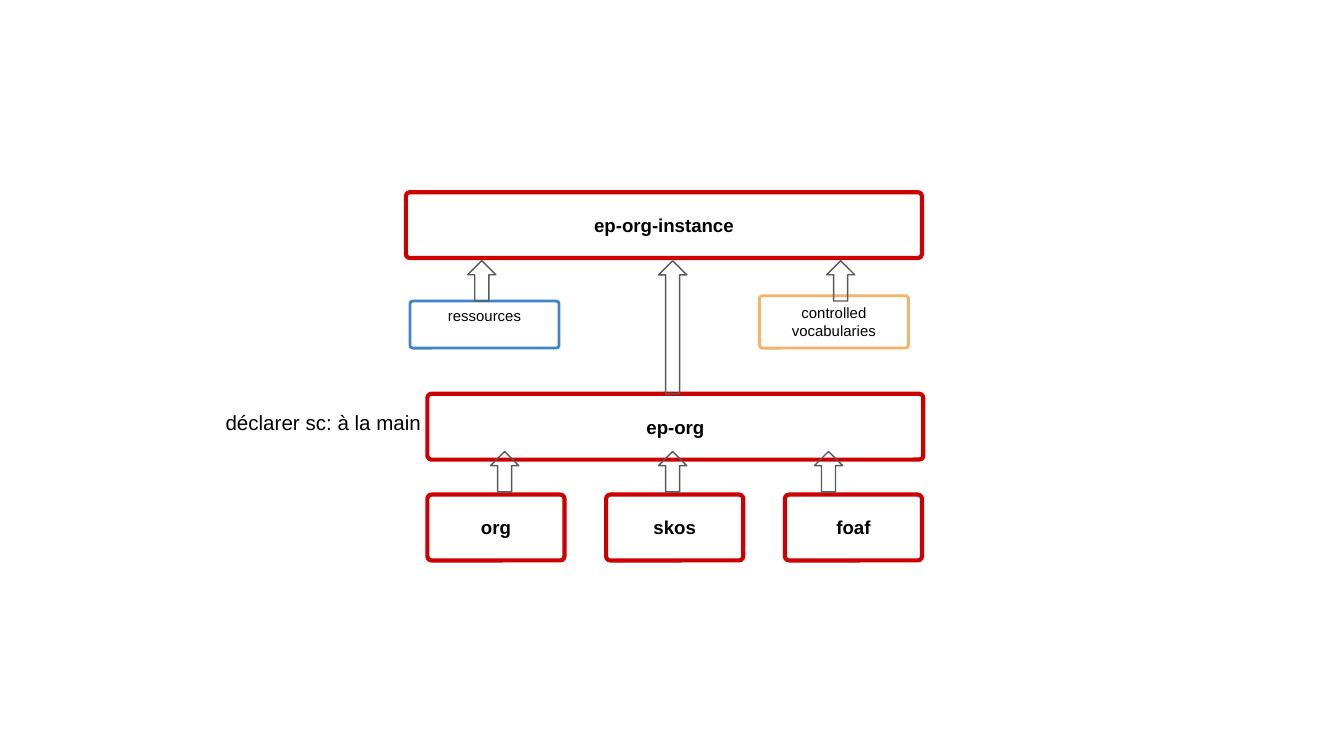
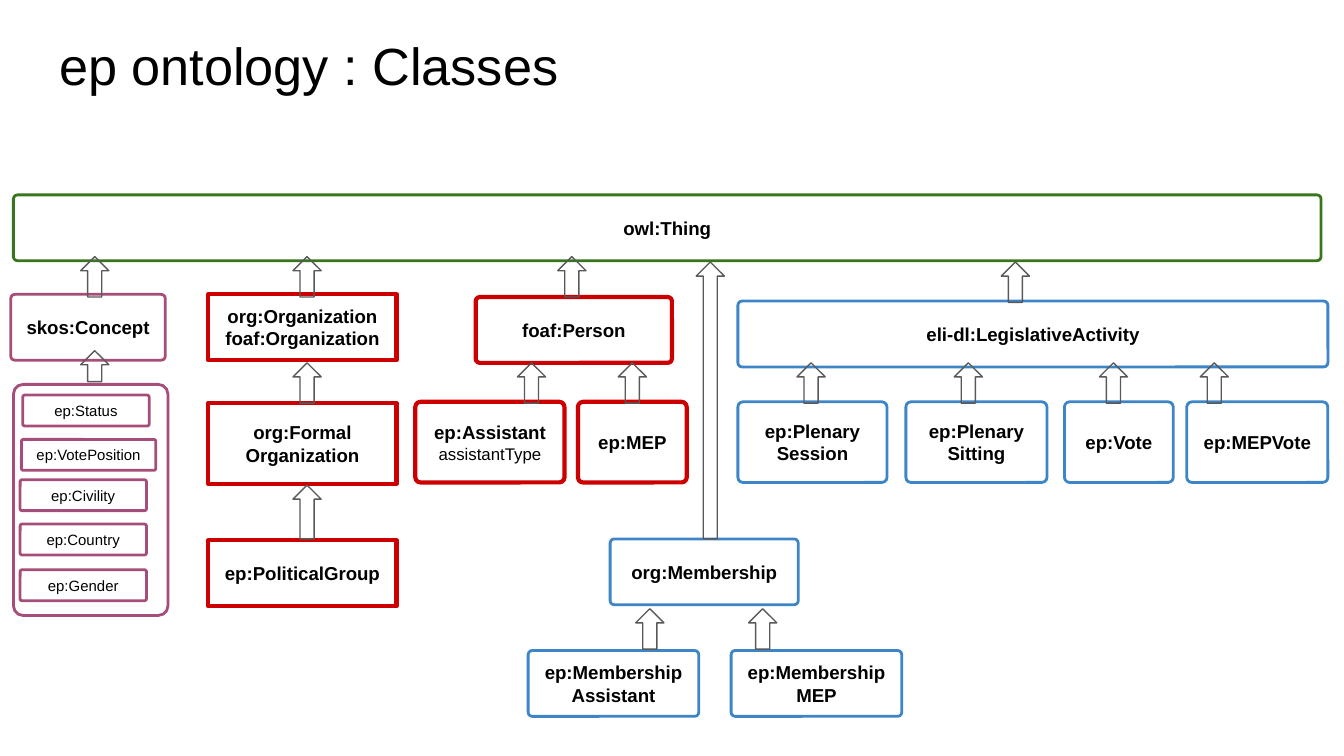
"""Build two slides on the ep ontology: its modules and its classes."""
from dataclasses import dataclass

from pptx import Presentation
from pptx.dml.color import RGBColor
from pptx.enum.shapes import MSO_SHAPE
from pptx.enum.text import MSO_ANCHOR, MSO_AUTO_SIZE, PP_ALIGN
from pptx.shapes.autoshape import Shape
from pptx.slide import Slide
from pptx.text.text import TextFrame
from pptx.util import Inches, Pt

FONT = "Arial"
BLACK = RGBColor(0x00, 0x00, 0x00)
GREY = RGBColor(0x59, 0x59, 0x59)
RED = RGBColor(0xCC, 0x00, 0x00)
BLUE = RGBColor(0x3D, 0x85, 0xC6)
ORANGE = RGBColor(0xF6, 0xB2, 0x6B)
PURPLE = RGBColor(0xA6, 0x4D, 0x79)
GREEN = RGBColor(0x38, 0x76, 0x1D)

SLIDE_WIDTH = Inches(10)
SLIDE_HEIGHT = SLIDE_WIDTH * 9 // 16
TITLE_ONLY, BLANK = 5, 6
INSET = 0.1
ROW_HEIGHT, CLASS_HEIGHT, CONCEPT_HEIGHT = 0.49, 0.6, 0.23
ARROW_WIDTH, ARROW_HEIGHT = 0.21, 0.3


@dataclass(frozen=True)
class Outline:
    """Line and corner style of a box."""

    color: RGBColor
    weight: float = 1.5
    corner: float = 0.063


RED_ROUND = Outline(RED, 2.25)
RED_SQUARE = Outline(RED, 2.25, 0)
BLUE_ROUND = Outline(BLUE)
ORANGE_ROUND = Outline(ORANGE)
PURPLE_ROUND = Outline(PURPLE)
GREEN_ROUND = Outline(GREEN)


@dataclass(frozen=True)
class Box:
    """A labelled box, in inches, with an optional light note below the label."""

    text: str
    left: float
    top: float
    width: float
    outline: Outline
    height: float = ROW_HEIGHT
    size: float = 10
    bold: bool = True
    note: str = ""
    bottom_inset: float = INSET


@dataclass(frozen=True)
class Arrow:
    """An upward block arrow, in inches."""

    left: float
    top: float
    height: float = ARROW_HEIGHT


MODULES = [
    Box("ep-org", 3.18, 2.93, 3.69, RED_ROUND),
    *(Box(name, 3.18 + 1.33 * column, 3.68, 1.02, RED_ROUND)
      for column, name in enumerate(("org", "skos", "foaf"))),
    Box("ep-org-instance", 3.02, 1.43, 3.84, RED_ROUND),
    Box("controlled vocabularies", 5.65, 2.2, 1.11, ORANGE_ROUND, 0.39, 8, False),
    Box("ressources", 3.05, 2.24, 1.11, BLUE_ROUND, 0.35, 8, False, bottom_inset=0.23),
]
MODULE_ARROWS = [
    Arrow(4.9, 1.94, 0.99),
    *(Arrow(left, 1.94) for left in (3.48, 6.15)),
    *(Arrow(left, 3.36) for left in (3.65, 4.9, 6.06)),
]

CONCEPTS = [
    ("ep:Status", 0.17, 2.94, 0.94),
    ("ep:VotePosition", 0.16, 3.27, 1.0),
    ("ep:Civility", 0.15, 3.57, 0.94),
    ("ep:Country", 0.15, 3.9, 0.94),
    ("ep:Gender", 0.15, 4.24, 0.94),
]
ACTIVITIES = [
    ("ep:Plenary\nSession", 5.49, 1.11),
    ("ep:Plenary\nSitting", 6.74, 1.05),
    ("ep:Vote", 7.92, 0.81),
    ("ep:MEPVote", 8.83, 1.05),
]
CLASSES = [
    Box("owl:Thing", 0.1, 1.45, 9.73, GREEN_ROUND),
    Box("skos:Concept", 0.08, 2.19, 1.15, PURPLE_ROUND),
    Box("", 0.1, 2.86, 1.15, PURPLE_ROUND, 1.72),
    *(Box(name, left, top, width, PURPLE_ROUND, CONCEPT_HEIGHT, 8, False)
      for name, left, top, width in CONCEPTS),
    Box("org:Organization\nfoaf:Organization", 1.55, 2.19, 1.4, RED_SQUARE),
    Box("org:Formal\nOrganization", 1.55, 3, 1.4, RED_SQUARE, CLASS_HEIGHT),
    Box("ep:PoliticalGroup", 1.55, 4.02, 1.4, RED_SQUARE),
    Box("foaf:Person", 3.54, 2.21, 1.46, RED_ROUND),
    Box("ep:Assistant", 3.09, 2.99, 1.11, RED_ROUND, CLASS_HEIGHT, note="assistantType"),
    Box("ep:MEP", 4.3, 2.99, 0.81, RED_ROUND, CLASS_HEIGHT),
    Box("org:Membership", 4.54, 4.01, 1.4, BLUE_ROUND),
    Box("ep:Membership Assistant", 3.93, 4.84, 1.27, BLUE_ROUND),
    Box("ep:Membership\nMEP", 5.44, 4.84, 1.27, BLUE_ROUND),
    Box("eli-dl:LegislativeActivity", 5.49, 2.24, 4.39, BLUE_ROUND),
    *(Box(name, left, 2.99, width, BLUE_ROUND, CLASS_HEIGHT)
      for name, left, width in ACTIVITIES),
]
CLASS_ARROWS = [
    *(Arrow(left, 1.91) for left in (0.6, 2.18, 4.15)),
    Arrow(7.45, 1.95),
    Arrow(5.18, 1.95, 2.06),
    Arrow(0.6, 2.61, 0.23),
    *(Arrow(left, 2.7) for left in (2.18, 3.85, 4.6, 5.93, 7.1, 8.18, 8.93)),
    Arrow(2.18, 3.61, 0.4),
    *(Arrow(left, 4.53) for left in (4.73, 5.57)),
]


def prepare_frame(frame: TextFrame, anchor: MSO_ANCHOR, bottom_inset: float = INSET) -> None:
    """Set wrapping, anchor and insets of a text frame."""
    frame.word_wrap = True
    frame.auto_size = MSO_AUTO_SIZE.NONE
    frame.vertical_anchor = anchor
    frame.margin_left = frame.margin_right = frame.margin_top = Inches(INSET)
    frame.margin_bottom = Inches(bottom_inset)


def write_text(frame: TextFrame, text: str, *, size: float, bold: bool = False,
               align: PP_ALIGN = PP_ALIGN.LEFT) -> None:
    """Write each line of the text as a paragraph after any existing text."""
    for line in text.split("\n"):
        para = frame.add_paragraph() if frame.text else frame.paragraphs[0]
        para.alignment = align
        span = para.add_run()
        span.text = line
        span.font.name = FONT
        span.font.size = Pt(size)
        span.font.bold = bold
        span.font.color.rgb = BLACK


def draw_outline(page: Slide, kind: MSO_SHAPE, left: float, top: float, width: float,
                 height: float, color: RGBColor, weight: float) -> Shape:
    """Draw an unfilled preset shape."""
    shape = page.shapes.add_shape(kind, Inches(left), Inches(top), Inches(width), Inches(height))
    shape.shadow.inherit = False
    shape.fill.background()
    shape.line.color.rgb = color
    shape.line.width = Pt(weight)
    return shape


def draw_box(page: Slide, box: Box) -> None:
    """Draw a box with its label and note."""
    shape = draw_outline(page, MSO_SHAPE.ROUNDED_RECTANGLE, box.left, box.top, box.width,
                         box.height, box.outline.color, box.outline.weight)
    shape.adjustments[0] = box.outline.corner
    frame = shape.text_frame
    prepare_frame(frame, MSO_ANCHOR.MIDDLE, box.bottom_inset)
    if box.text:
        write_text(frame, box.text, size=box.size, bold=box.bold, align=PP_ALIGN.CENTER)
    if box.note:
        write_text(frame, box.note, size=9, align=PP_ALIGN.CENTER)


def draw_diagram(page: Slide, boxes: list[Box], arrows: list[Arrow]) -> None:
    """Draw all boxes, then the arrows over them."""
    for box in boxes:
        draw_box(page, box)
    for arrow in arrows:
        draw_outline(page, MSO_SHAPE.UP_ARROW, arrow.left, arrow.top, ARROW_WIDTH,
                     arrow.height, GREY, 0.75)


def build_modules(deck: Presentation) -> None:
    """Add the slide of ontology modules."""
    page = deck.slides.add_slide(deck.slide_layouts[BLANK])
    draw_diagram(page, MODULES, MODULE_ARROWS)
    remark = page.shapes.add_textbox(Inches(1.58), Inches(2.95), Inches(1.8), Inches(0.39))
    prepare_frame(remark.text_frame, MSO_ANCHOR.TOP)
    write_text(remark.text_frame, "déclarer sc: à la main", size=11)


def build_classes(deck: Presentation) -> None:
    """Add the slide of ontology classes."""
    page = deck.slides.add_slide(deck.slide_layouts[TITLE_ONLY])
    title = page.shapes.title
    title.left, title.top = Inches(0.34), Inches(0.15)
    title.width, title.height = Inches(6.05), Inches(0.63)
    prepare_frame(title.text_frame, MSO_ANCHOR.TOP)
    write_text(title.text_frame, "ep ontology : Classes", size=28)
    draw_diagram(page, CLASSES, CLASS_ARROWS)


def main() -> None:
    """Build and save the deck."""
    deck = Presentation()
    deck.slide_width, deck.slide_height = SLIDE_WIDTH, SLIDE_HEIGHT
    build_modules(deck)
    build_classes(deck)
    deck.save("out.pptx")


if __name__ == "__main__":
    main()
